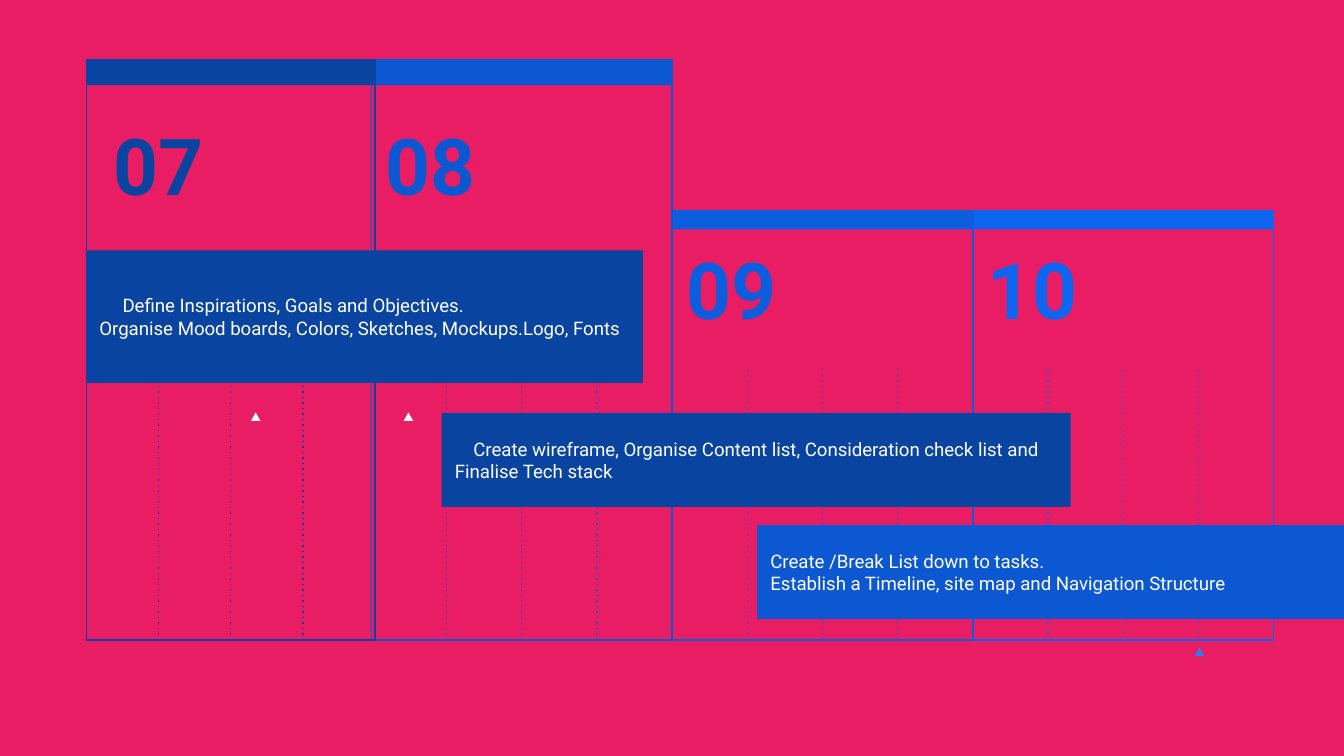
from lxml import etree
from pptx import Presentation
from pptx.dml.color import RGBColor
from pptx.enum.dml import MSO_LINE
from pptx.enum.shapes import MSO_CONNECTOR, MSO_SHAPE
from pptx.enum.text import MSO_ANCHOR, PP_ALIGN
from pptx.oxml.ns import qn
from pptx.util import Pt

RECTANGLE = MSO_SHAPE.RECTANGLE
TRIANGLE = MSO_SHAPE.ISOSCELES_TRIANGLE
STRAIGHT = MSO_CONNECTOR.STRAIGHT
DOTTED = MSO_LINE.ROUND_DOT
MIDDLE = MSO_ANCHOR.MIDDLE
LEFT, CENTER = PP_ALIGN.LEFT, PP_ALIGN.CENTER

FONT = "Roboto"
COLORS = {
    "background": "E91D63",
    "navy": "0944A1",
    "royal": "0C58D3",
    "cobalt": "0D5DDF",
    "azure": "0E65F0",
    "sky": "307BF3",
    "white": "FFFFFF",
}
BOTTOM = 343
LINE_WIDTH = 0.75
INSET = 7.2

# number, left, top, width, number width, color; back to front
COLUMNS = [
    ("10", 521.2, 112.8, 161.2, 63.4, "azure"),
    ("09", 360, 112.8, 161.2, 63.4, "cobalt"),
    ("08", 198.9, 31.9, 161.2, 63.4, "royal"),
    ("07", 46.2, 31.9, 154.8, 77.8, "navy"),
]
# left, top, width, height, color, first-line indent, paragraphs
TASKS = [
    (46.2, 134.1, 298.2, 71.1, "navy", 12.4,
     ["Define Inspirations, Goals and Objectives.",
      "Organise Mood boards, Colors, Sketches, Mockups.Logo, Fonts"]),
    (236.6, 221.2, 337, 50.4, "navy", 9.9,
     ["Create wireframe, Organise Content list, Consideration check list "
      "and Finalise Tech stack"]),
    (405.6, 281.4, 314.4, 50.4, "royal", 0,
     ["Create /Break List down to tasks.",
      "Establish a Timeline, site map and Navigation Structure"]),
]
MARKERS = [(640, 347, "sky"), (134.4, 221, "white"), (216.2, 221, "white")]


def rgb(name):
    return RGBColor.from_string(COLORS[name])


def add_shape(slide, kind, left, top, width, height, fill=None, line=None):
    shape = slide.shapes.add_shape(kind, Pt(left), Pt(top), Pt(width), Pt(height))
    shape.shadow.inherit = False
    if fill:
        shape.fill.solid()
        shape.fill.fore_color.rgb = rgb(fill)
    else:
        shape.fill.background()
    if line:
        shape.line.color.rgb = rgb(line)
        shape.line.width = Pt(LINE_WIDTH)
    else:
        shape.line.fill.background()
    return shape


def write_text(shape, lines, size, color, alignment, bold=False):
    frame = shape.text_frame
    frame.word_wrap = True
    frame.vertical_anchor = MIDDLE
    frame.margin_left = frame.margin_right = Pt(INSET)
    frame.margin_top = frame.margin_bottom = Pt(INSET)
    frame.text = "\n".join(lines)
    for paragraph in frame.paragraphs:
        paragraph.alignment = alignment
        paragraph.font.name = FONT
        paragraph.font.size = Pt(size)
        paragraph.font.bold = bold
        paragraph.font.color.rgb = rgb(color)


def add_dotted_line(slide, x, top, color):
    connector = slide.shapes.add_connector(STRAIGHT, Pt(x), Pt(BOTTOM), Pt(x), Pt(top))
    connector.line.color.rgb = rgb(color)
    connector.line.width = Pt(LINE_WIDTH)
    connector.line.dash_style = DOTTED
    properties = connector._element.spPr
    # The preset "dot" has wider gaps than any dash style in the enum
    properties.find(qn("a:ln")).find(qn("a:prstDash")).set("val", "dot")
    etree.SubElement(properties, qn("a:effectLst"))


def add_column(slide, number, left, top, width, number_width, color):
    """Outlined column whose parts keep the same share of its height."""
    height = BOTTOM - top
    band_height = 0.044 * height
    add_shape(slide, RECTANGLE, left, top, width, height, line=color)
    add_shape(slide, RECTANGLE, left, top, width, band_height, fill=color)
    label = slide.shapes.add_textbox(
        Pt(left), Pt(top + band_height), Pt(number_width), Pt(0.271 * height))
    write_text(label, [number], 42, color, CENTER, bold=True)
    for quarter in (1, 2, 3):
        add_dotted_line(slide, left + width * quarter / 4, top + 0.367 * height, color)


def add_task(slide, left, top, width, height, color, indent, lines):
    bar = add_shape(slide, RECTANGLE, left, top, width, height, fill=color)
    write_text(bar, lines, 10, "white", LEFT)
    if indent:
        first = bar.text_frame.paragraphs[0]
        first._p.get_or_add_pPr().set("indent", str(Pt(indent)))


def main():
    presentation = Presentation()
    presentation.slide_width, presentation.slide_height = Pt(720), Pt(405)
    slide = presentation.slides.add_slide(presentation.slide_layouts[6])
    slide.background.fill.solid()
    slide.background.fill.fore_color.rgb = rgb("background")
    for column in COLUMNS:
        add_column(slide, *column)
    for task in TASKS:
        add_task(slide, *task)
    for left, top, color in MARKERS:
        add_shape(slide, TRIANGLE, left, top, 5.2, 4.5, fill=color)
    presentation.save("out.pptx")


if __name__ == "__main__":
    main()
